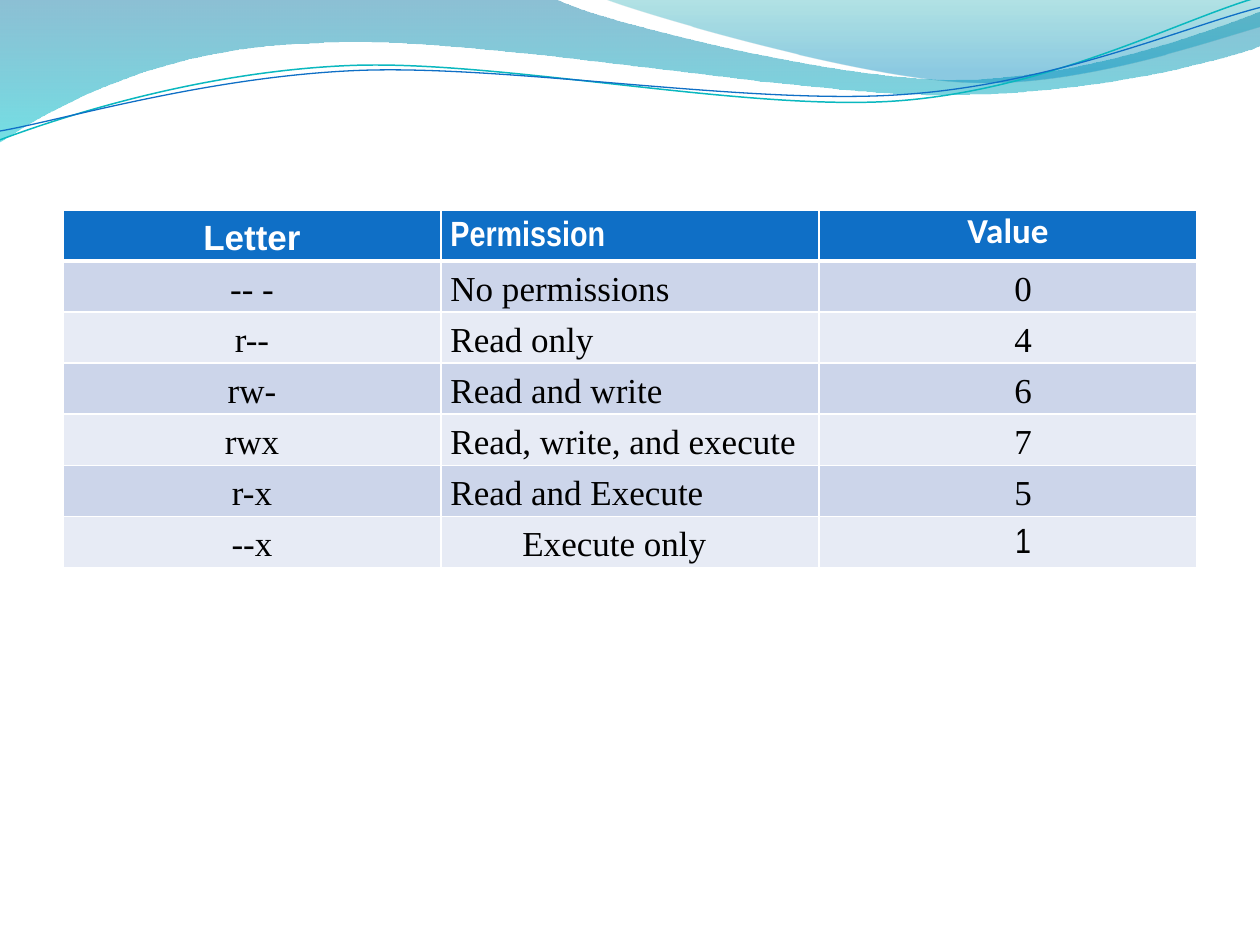
import math
import pptx
import pptx.util
import pptx.dml.color
import pptx.enum.text
import pptx.oxml
import pptx.oxml.ns
from pptx.util import Cm

INCH = 2.54
TILT = 2.7
HEX = {
    "white": "FFFFFF", "black": "000000", "head": "0F6FC6",
    "odd": "CCD5EA", "even": "E7EBF5", "teal": "0AB8BF",
    "deep": "0074A1", "cyan": "00C6CF", "sea": "00A1A9", "sky": "008BBF",
}
HEADS = [("Letter", "Arial"), ("Permission", "Arial Narrow"), ("Value", "Calibri")]
ROWS = [
    ("-- -", "No permissions", "0"),
    ("r--", "Read only", "4"),
    ("rw-", "Read and write", "6"),
    ("rwx", "Read, write, and execute", "7"),
    ("r-x", "Read and Execute", "5"),
    ("--x", "Execute only", "1"),
]
BANDS = [
    ([(0, 0), (4.4, -0.01), (4.76, 0.17, 6.64, 0.63, 7.58, 0.63),
      (8.53, 0.63, 9.58, 0.26, 10, 0.09), (10.01, 0.36),
      (9.83, 0.44, 8.7, 0.76, 7.46, 0.75), (6.22, 0.75, 3.82, 0.28, 2.57, 0.34),
      (1.29, 0.36, 0.46, 0.83, -0.01, 1.13), (0, 0)],
     [(0, "deep", 45), (1, "cyan", 55)]),
    ([(4.79, -0.01), (5.09, 0.11, 6.82, 0.62, 7.69, 0.65),
      (8.56, 0.69, 9.61, 0.32, 10, 0.21), (10, 0), (4.79, -0.01)],
     [(0, "sea", 30), (0.8, "sky", 45)]),
]
WAVES = [
    ([(0, 1.11), (0.48, 0.93, 1.58, 0.57, 2.77, 0.52),
      (3.95, 0.47, 5.93, 0.89, 7.13, 0.8), (8.33, 0.71, 9.38, 0.15, 9.98, -0.02)],
     (4.99, 0.58), "teal", 0.85),
    ([(0, 1.04), (0.47, 0.96, 1.64, 0.61, 2.83, 0.56),
      (4.03, 0.51, 5.97, 0.84, 7.17, 0.75), (8.36, 0.67, 9.41, 0.21, 10, 0.06)],
     (5, 0.59), "head", 0.75),
]


def rgb(name):
    return pptx.dml.color.RGBColor.from_string(HEX[name])


def pairs(part):
    return list(zip(part[::2], part[1::2]))


def turn(part, hub):
    cos, sin = math.cos(math.radians(TILT)), math.sin(math.radians(TILT))
    flat = []
    for x, y in pairs(part):
        x, y = x - hub[0], y - hub[1]
        flat += [hub[0] + x * cos - y * sin, hub[1] + x * sin + y * cos]
    return tuple(flat)


def bend(shape, parts):
    track = shape._element.xpath(".//a:path")[0]
    lines = iter(track.xpath("./a:lnTo"))
    for part in parts[1:]:
        group = [next(lines) for _ in pairs(part)]
        if len(group) == 3:
            curve = pptx.oxml.parse_xml(f'<a:cubicBezTo {pptx.oxml.ns.nsdecls("a")}/>')
            group[0].addprevious(curve)
            for line in group:
                curve.append(line[0])
                track.remove(line)


def add_path(slide, parts, close):
    dots = [(Cm(x * INCH), Cm(y * INCH)) for part in parts for x, y in pairs(part)]
    pen = slide.shapes.build_freeform(*dots[0])
    pen.add_line_segments(dots[1:], close=close)
    shape = pen.convert_to_shape()
    shape.shadow.inherit = False
    bend(shape, parts)
    return shape


def add_band(slide, parts, stops):
    shape = add_path(slide, parts, True)
    shape.line.fill.background()
    shape.fill.gradient()
    shape.fill.gradient_angle = 270
    for stop, (place, name, _) in zip(shape.fill.gradient_stops, stops):
        stop.position = place
        stop.color.rgb = rgb(name)
    tints = shape._element.xpath(".//a:gs/a:srgbClr")
    for tint, (_, _, alpha) in zip(tints, stops):
        node = pptx.oxml.parse_xml(f'<a:alpha {pptx.oxml.ns.nsdecls("a")} val="{alpha * 1000}"/>')
        tint.append(node)


def add_wave(slide, parts, hub, name, width):
    shape = add_path(slide, [turn(part, hub) for part in parts], False)
    shape.rotation = 360 - TILT
    shape.fill.background()
    shape.line.color.rgb = rgb(name)
    shape.line.width = pptx.util.Pt(width)


def set_edges(cell, row):
    props = cell._tc.get_or_add_tcPr()
    for side in "LRTB":
        thick = (row, side) in ((0, "B"), (1, "T"))
        width = pptx.util.Pt(3 if thick else 1)
        props.append(pptx.oxml.parse_xml(
            f'<a:ln{side} {pptx.oxml.ns.nsdecls("a")} w="{width}"><a:solidFill>'
            f'<a:srgbClr val="{HEX["white"]}"/></a:solidFill></a:ln{side}>'))


def set_cell(cell, row, text, face, ink, fill, center, indent, top):
    set_edges(cell, row)
    cell.fill.solid()
    cell.fill.fore_color.rgb = rgb(fill)
    cell.margin_left = cell.margin_right = Cm(0.19)
    cell.margin_top = cell.margin_bottom = 0
    anchor = pptx.enum.text.MSO_ANCHOR
    cell.vertical_anchor = anchor.TOP if top else anchor.MIDDLE
    cell.text_frame.text = text
    para = cell.text_frame.paragraphs[0]
    align = pptx.enum.text.PP_ALIGN
    para.alignment = align.CENTER if center else align.LEFT
    para.line_spacing = 1.0 if top else 1.15
    if indent:
        props = para._p.get_or_add_pPr()
        props.set("marL", str(Cm(indent)))
        props.set("indent", "0")
    font = para.runs[0].font
    font.name = face
    font.size = pptx.util.Pt(20)
    font.bold = row == 0
    font.color.rgb = rgb(ink)


def add_grid(slide):
    high = 1.03
    count = len(ROWS) + 1
    grid = slide.shapes.add_table(
        count, 3, Cm(1.27), Cm(4.23), Cm(22.86), Cm(high * count)).table
    for row in grid.rows:
        row.height = Cm(high)
    for col, (text, face) in enumerate(HEADS):
        set_cell(grid.cell(0, col), 0, text, face, "white", "head", col != 1, 0, col == 2)
    for row, texts in enumerate(ROWS, 1):
        last = row == len(ROWS)
        dents = (0, 1.45 if last else 0, 0.61)
        for col, text in enumerate(texts):
            face = "Arial Narrow" if last and col == 2 else "Times New Roman"
            fill = "odd" if row % 2 else "even"
            set_cell(grid.cell(row, col), row, text, face, "black", fill,
                     col != 1, dents[col], False)


def main():
    deck = pptx.Presentation()
    deck.slide_width, deck.slide_height = Cm(25.4), Cm(19.05)
    slide = deck.slides.add_slide(deck.slide_layouts[6])
    for band in BANDS:
        add_band(slide, *band)
    for wave in WAVES:
        add_wave(slide, *wave)
    add_grid(slide)
    deck.save("out.pptx")


if __name__ == "__main__":
    main()
